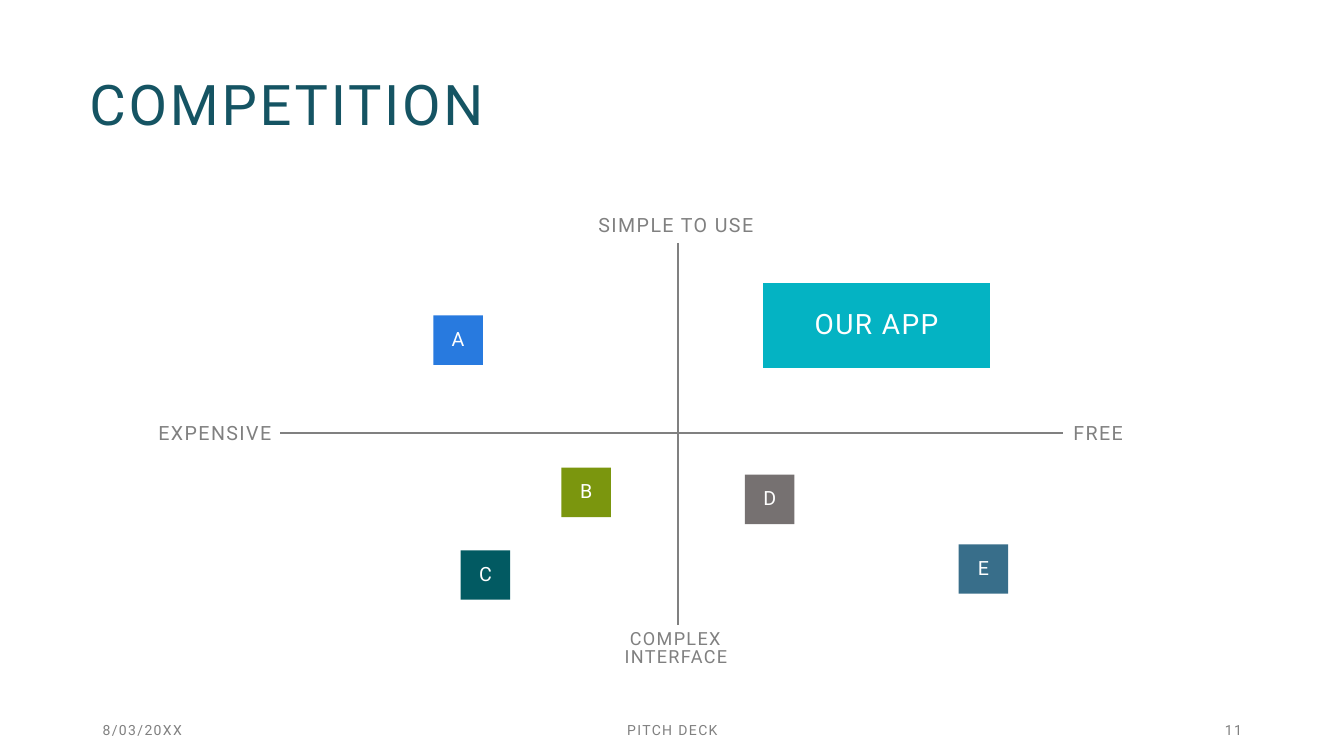
from pptx import Presentation
from pptx import util as u
from pptx.dml.color import RGBColor
from pptx.enum import shapes, text
from lxml import etree

hues = {"title": "155463", "grey": "808080", "white": "FFFFFF", "app": "04B3C3",
        "A": "287ADF", "B": "7B960E", "C": "025A62", "D": "767171", "E": "386E8A"}
left, mid, right = text.PP_ALIGN.LEFT, text.PP_ALIGN.CENTER, text.PP_ALIGN.RIGHT
top, centre, low = text.MSO_ANCHOR.TOP, text.MSO_ANCHOR.MIDDLE, text.MSO_ANCHOR.BOTTOM

deck = Presentation()
deck.slide_width, deck.slide_height = u.Inches(13.33), u.Inches(7.5)
slide = deck.slides.add_slide(deck.slide_layouts[6])


def place(*shares):
    sides = (deck.slide_width, deck.slide_height) * 2
    return [round(side * share / 100) for side, share in zip(sides, shares)]


def write(shape, words, size, hue, align=mid, anchor=centre, lead=0.9, gap=1):
    frame = shape.text_frame
    frame.text = words
    frame.word_wrap = True
    frame.vertical_anchor = anchor
    para = frame.paragraphs[0]
    para.alignment = align
    para.line_spacing = lead
    run = para.runs[0]
    run.font.name = "Roboto"
    run.font.size = u.Pt(size)
    run.font.color.rgb = RGBColor.from_string(hues[hue])
    run.font._element.set("spc", str(gap * 100))


for ends in [(50.48, 32.13, 50.48, 82.67), (20.85, 57.33, 79.13, 57.33)]:
    axis = slide.shapes.add_connector(shapes.MSO_CONNECTOR.STRAIGHT, *place(*ends))
    axis.line.color.rgb = RGBColor.from_string(hues["grey"])
    axis.line.width = u.Pt(1.5)
    etree.SubElement(axis._element.spPr,
                     "{http://schemas.openxmlformats.org/drawingml/2006/main}effectLst")

title = slide.shapes.add_textbox(*place(5.92, 9.73, 87.15, 9.47))
write(title, "COMPETITION", 40, "title", left, lead=0.8, gap=2)

labels = [
    ("SIMPLE TO USE", 43.28, 25.73, 14, mid, low, 0.9),
    ("EXPENSIVE", 6.9, 55.33, 14, right, top, 0.9),
    ("FREE", 79.13, 55.33, 14, left, top, 0.9),
    ("COMPLEX INTERFACE", 43.28, 82.93, 12.9, mid, top, 0.8),
]
for words, x, y, size, align, anchor, lead in labels:
    label = slide.shapes.add_textbox(*place(x, y, 14.03, 6.27))
    write(label, words, size, "grey", align, anchor, lead)

rivals = [("A", 32.25, 41.73), ("B", 41.78, 61.87), ("C", 34.28, 72.8),
          ("D", 55.43, 62.8), ("E", 71.33, 72)]
boxes = [(name, name, x, y, 3.68, 6.53, 14) for name, x, y in rivals]
boxes.append(("OUR APP", "app", 56.78, 37.47, 16.88, 11.2, 20))
for words, hue, x, y, wide, high, size in boxes:
    box = slide.shapes.add_shape(shapes.MSO_SHAPE.RECTANGLE, *place(x, y, wide, high))
    box.shadow.inherit = False
    box.fill.solid()
    box.fill.fore_color.rgb = RGBColor.from_string(hues[hue])
    box.line.fill.background()
    write(box, words, size, "white")
    box.text_frame.margin_left = box.text_frame.margin_right = 0

for words, x, wide, align in [("8/03/20XX", 6.9, 22.5, left),
                              ("PITCH DECK", 33.15, 33.75, mid),
                              ("11", 70.65, 22.5, right)]:
    foot = slide.shapes.add_textbox(*place(x, 95.07, wide, 2.93))
    write(foot, words, 10, "grey", align, lead=1.0)

deck.save("out.pptx")
